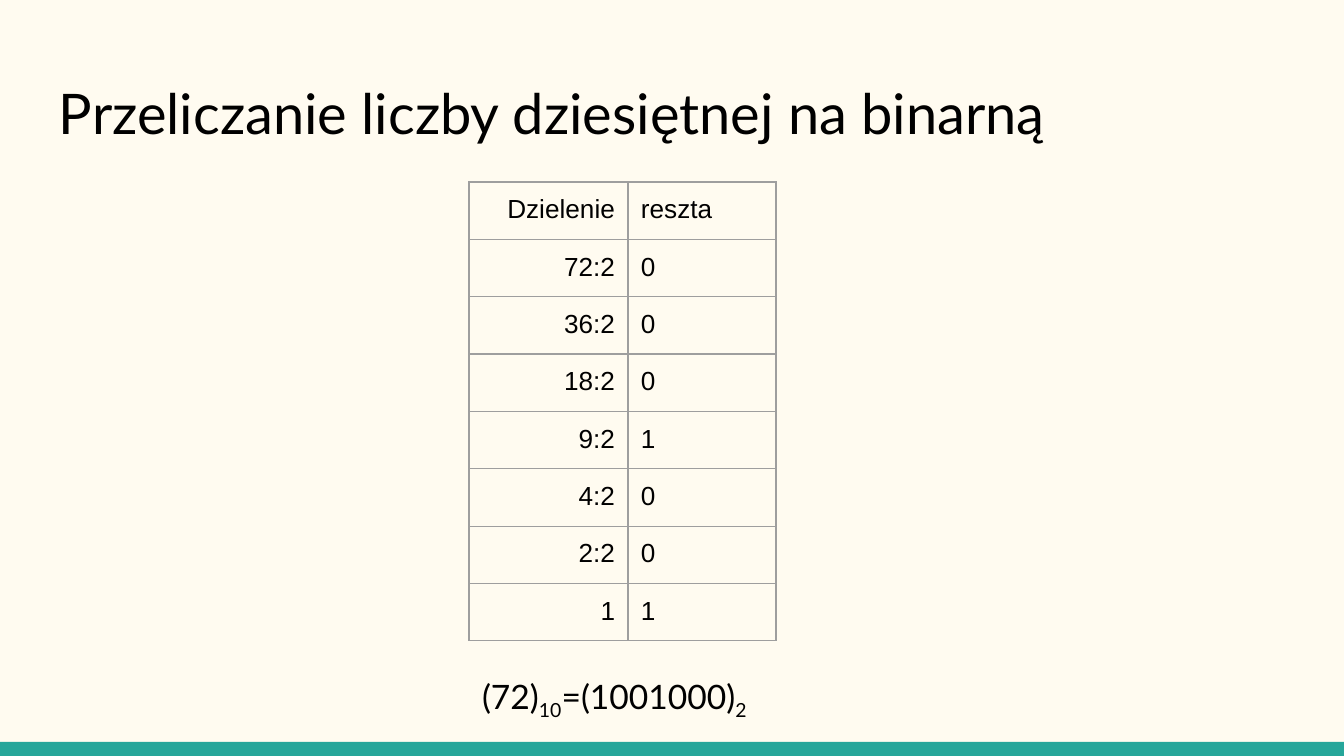
from dataclasses import dataclass

from lxml.etree import SubElement
from pptx import Presentation
from pptx.dml.color import RGBColor
from pptx.enum.shapes import MSO_SHAPE
from pptx.enum.text import MSO_ANCHOR, PP_ALIGN
from pptx.oxml.ns import qn
from pptx.util import Emu, Pt

WIDE, HIGH = 1344, 756
SCALE = 9144000 / WIDE


@dataclass(frozen=True)
class Theme:
    back: str = "FFFBF0"
    bar: str = "26A69A"
    ink: str = "000000"
    rule: str = "9E9E9E"
    head: str = "Lato"
    cell: str = "Arial"
    title: int = 30
    sum: int = 18
    table: int = 14
    line: float = 0.75


@dataclass(frozen=True)
class Box:
    left: int
    top: int
    width: int
    height: int


@dataclass(frozen=True)
class Part:
    text: str
    sub: bool = False


@dataclass(frozen=True)
class Step:
    split: str
    rest: str


THEME = Theme()
PAD = 13
COLS = (159, 148)
ROW = 56
STEPS = (
    Step("Dzielenie", "reszta"),
    Step("72:2", "0"),
    Step("36:2", "0"),
    Step("18:2", "0"),
    Step("9:2", "1"),
    Step("4:2", "0"),
    Step("2:2", "0"),
    Step("1", "1"),
)
SUM = (Part("(72)"), Part("10", True), Part("=(1001000)"), Part("2", True))


def px(size: int) -> Emu:
    return Emu(round(size * SCALE))


def place(box: Box) -> tuple:
    return px(box.left), px(box.top), px(box.width), px(box.height)


def apply(item, form: dict) -> None:
    for name, value in form.items():
        setattr(item, name, value)


def pad(item) -> None:
    sides = ("left", "top", "right", "bottom")
    apply(item, {f"margin_{side}": px(PAD) for side in sides})


def write(para, parts: tuple, font: str, size: int) -> None:
    for part in parts:
        run = para.add_run()
        run.text = part.text
        apply(run.font, {"name": font, "size": Pt(size)})
        run.font.color.rgb = RGBColor.from_string(THEME.ink)
        if part.sub:
            run.font._element.set("baseline", "-25000")


def label(slide, box: Box, parts: tuple, size: int, form: dict) -> None:
    frame = slide.shapes.add_textbox(*place(box)).text_frame
    apply(frame, {"word_wrap": True, "vertical_anchor": MSO_ANCHOR.TOP})
    pad(frame)
    para = frame.paragraphs[0]
    apply(para, form)
    write(para, parts, THEME.head, size)


def edge(cell) -> None:
    """Rule all four sides of a cell."""
    props = cell._tc.get_or_add_tcPr()
    for spot, side in enumerate(("lnL", "lnR", "lnT", "lnB")):
        line = SubElement(props, qn(f"a:{side}"), w=str(Pt(THEME.line)))
        fill = SubElement(line, qn("a:solidFill"))
        SubElement(fill, qn("a:srgbClr"), val=THEME.rule)
        props.insert(spot, line)


def grid(slide, left: int, top: int) -> None:
    box = Box(left, top, sum(COLS), ROW * len(STEPS))
    table = slide.shapes.add_table(len(STEPS), len(COLS), *place(box)).table
    apply(table, {"first_row": False, "horz_banding": False})
    for col, width in zip(table.columns, COLS):
        col.width = px(width)
    for row, step in zip(table.rows, STEPS):
        row.height = px(ROW)
        pairs = ((step.split, PP_ALIGN.RIGHT), (step.rest, PP_ALIGN.LEFT))
        for cell, (text, align) in zip(row.cells, pairs):
            pad(cell)
            cell.fill.background()
            edge(cell)
            para = cell.text_frame.paragraphs[0]
            para.alignment = align
            write(para, (Part(text),), THEME.cell, THEME.table)


def strip(slide, box: Box) -> None:
    bar = slide.shapes.add_shape(MSO_SHAPE.RECTANGLE, *place(box))
    bar.shadow.inherit = False
    bar.fill.solid()
    bar.fill.fore_color.rgb = RGBColor.from_string(THEME.bar)
    bar.line.fill.background()


def main() -> None:
    deck = Presentation()
    apply(deck, {"slide_width": px(WIDE), "slide_height": px(HIGH)})
    slide = deck.slides.add_slide(deck.slide_layouts[6])
    fill = slide.background.fill
    fill.solid()
    fill.fore_color.rgb = RGBColor.from_string(THEME.back)

    strip(slide, Box(0, 742, WIDE, HIGH - 742))
    title = (Part("Przeliczanie liczby dziesiętnej na binarną"),)
    label(slide, Box(46, 66, 1252, 90), title, THEME.title, {})
    grid(slide, 469, 182)
    space = {"line_spacing": 1.15, "space_after": Pt(16)}
    label(slide, Box(469, 656, 351, 90), SUM, THEME.sum, space)
    deck.save("out.pptx")


if __name__ == "__main__":
    main()
